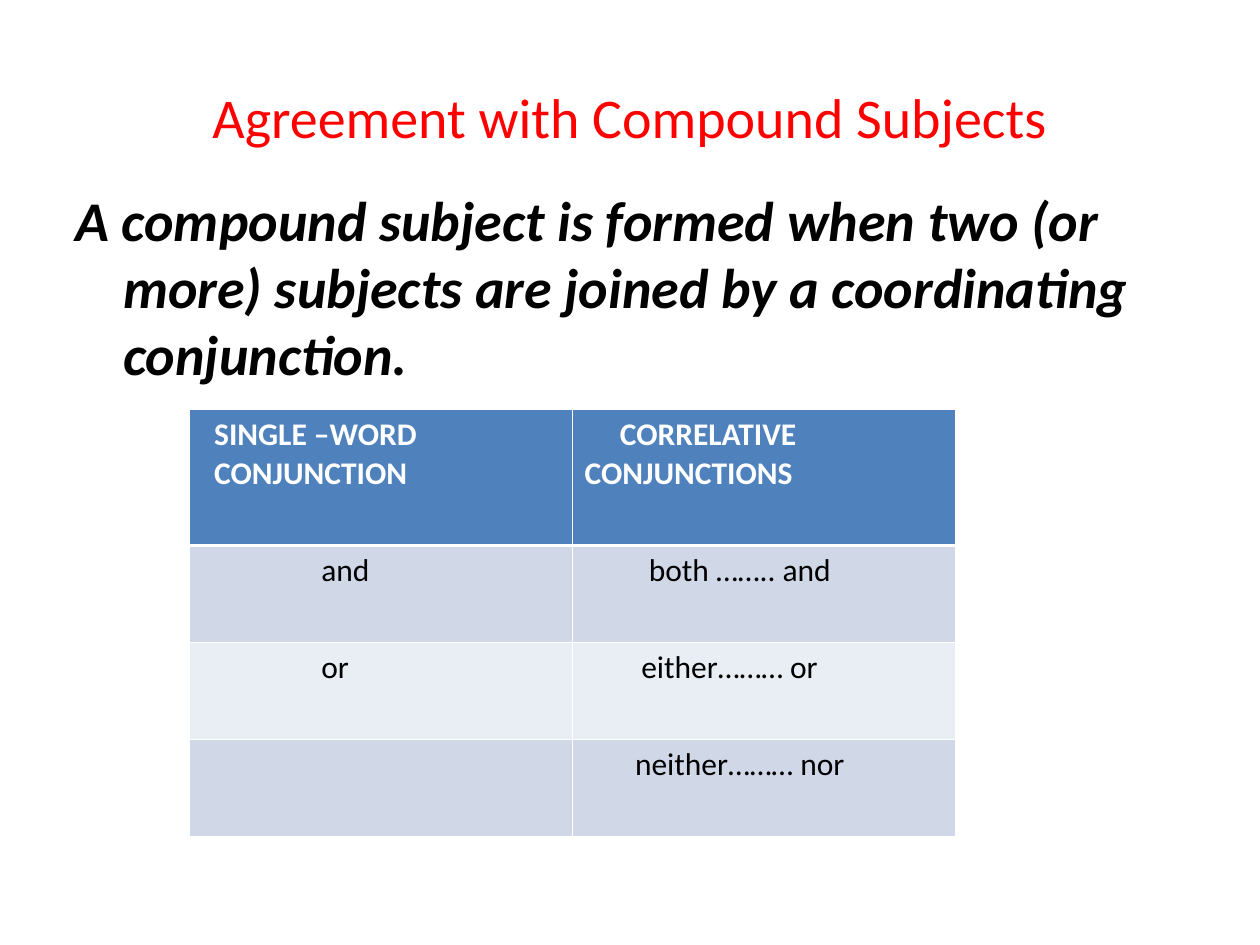
import pptx
import pptx.dml.color
import pptx.enum.text
import pptx.oxml
import pptx.oxml.ns
import pptx.util

RGB = pptx.dml.color.RGBColor
RED = RGB(0xFF, 0x00, 0x00)
BLACK = RGB(0x00, 0x00, 0x00)
WHITE = RGB(0xFF, 0xFF, 0xFF)
HEADER_BLUE = RGB(0x4F, 0x81, 0xBD)
BANDS = [RGB(0xE9, 0xED, 0xF4), RGB(0xD0, 0xD8, 0xE8)]

TITLE = "Agreement with Compound Subjects"
DEFINITION = ("A compound subject is formed when two (or more) subjects "
              "are joined by a coordinating conjunction.")
# Each cell: text, left margin in px, first-line indent in px
CONJUNCTIONS = [
    [("SINGLE –WORD CONJUNCTION", 10, 0), ("CORRELATIVE CONJUNCTIONS", 0, 28)],
    [("and", 95, 0), ("both …….. and", 51, 0)],
    [("or", 95, 0), ("either……… or", 45, 0)],
    [("", 0, 0), ("neither……… nor", 40, 0)],
]

PX = 9144  # EMU in one px, 100 px to the inch
TITLE_AREA = (50, 30, 900, 125)
DEFINITION_AREA = (50, 142, 900, 567)
TABLE_AREA = (150, 325, 608, 339)
ROW_HEIGHTS = [108, 77, 77, 77]
THIN, THICK = 0.45, 1.47

TITLE_FONT = dict(name="Calibri", size=pptx.util.Pt(32), bold=False)
DEFINITION_FONT = dict(TITLE_FONT, bold=True, italic=True)
CELL_FONT = dict(TITLE_FONT, size=pptx.util.Pt(18))
HEADER_FONT = dict(CELL_FONT, bold=True)


def emu(lengths):
    return [length * PX for length in lengths]


def write(frame, text, font, color, margin=0, indent=0):
    """Fill the frame's first paragraph; margin and indent are in px."""
    para = frame.paragraphs[0]
    properties = para._p.get_or_add_pPr()
    properties.set("marL", str(margin * PX))
    properties.set("indent", str(indent * PX))
    target = para.font
    if text:
        span = para.add_run()
        span.text = text
        target = span.font
    for name, value in font.items():
        setattr(target, name, value)
    target.color.rgb = color
    return para


def add_borders(cell, top, bottom):
    properties = cell._tc.get_or_add_tcPr()
    widths = dict(lnL=THIN, lnR=THIN, lnT=top, lnB=bottom)
    for position, (side, width) in enumerate(widths.items()):
        border = pptx.oxml.parse_xml(
            f'<a:{side} {pptx.oxml.ns.nsdecls("a")} w="{pptx.util.Pt(width)}">'
            f'<a:solidFill><a:srgbClr val="{WHITE}"/></a:solidFill></a:{side}>')
        properties.insert(position, border)


def add_definition(page):
    box = page.shapes.add_textbox(*emu(DEFINITION_AREA))
    box.text_frame.word_wrap = True
    write(box.text_frame, DEFINITION, DEFINITION_FONT, BLACK, 38, -38)


def add_conjunction_table(page):
    table = page.shapes.add_table(
        len(CONJUNCTIONS), len(CONJUNCTIONS[0]), *emu(TABLE_AREA)).table
    for row, height in zip(table.rows, ROW_HEIGHTS):
        row.height = height * PX
    for r, entries in enumerate(CONJUNCTIONS):
        header = r == 0
        for c, (text, margin, indent) in enumerate(entries):
            cell = table.cell(r, c)
            cell.fill.solid()
            cell.fill.fore_color.rgb = HEADER_BLUE if header else BANDS[r % 2]
            add_borders(cell, THICK if r == 1 else THIN,
                        THICK if header else THIN)
            write(cell.text_frame, text, HEADER_FONT if header else CELL_FONT,
                  WHITE if header else BLACK, margin, indent)


def main():
    deck = pptx.Presentation()
    deck.slide_width, deck.slide_height = emu((1000, 750))
    page = deck.slides.add_slide(deck.slide_layouts.get_by_name("Title Only"))

    title = page.shapes.title
    title.left, title.top, title.width, title.height = emu(TITLE_AREA)
    title.text_frame.vertical_anchor = pptx.enum.text.MSO_ANCHOR.MIDDLE
    heading = write(title.text_frame, TITLE, TITLE_FONT, RED)
    heading.alignment = pptx.enum.text.PP_ALIGN.CENTER

    add_definition(page)
    add_conjunction_table(page)
    deck.save("out.pptx")


if __name__ == "__main__":
    main()
